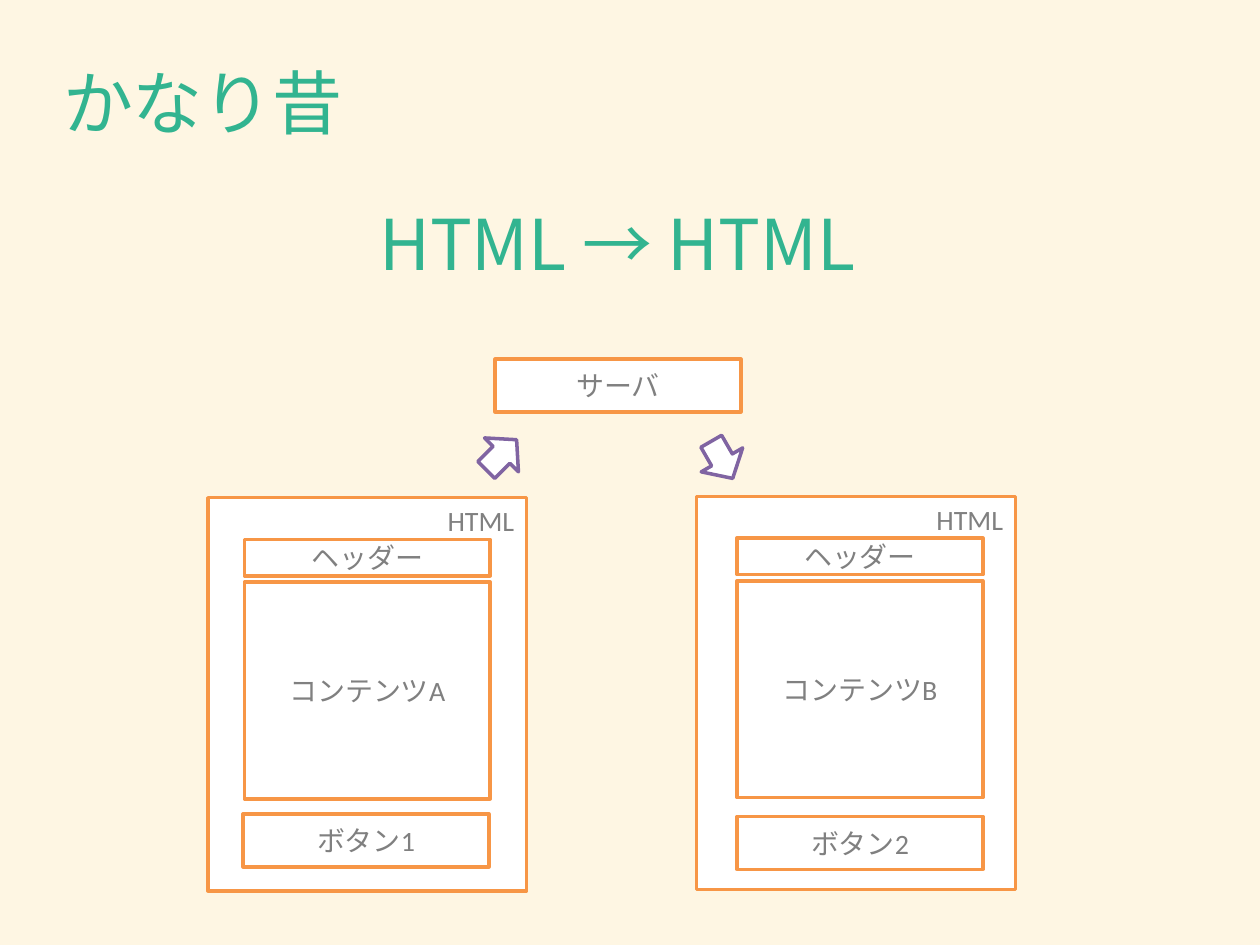
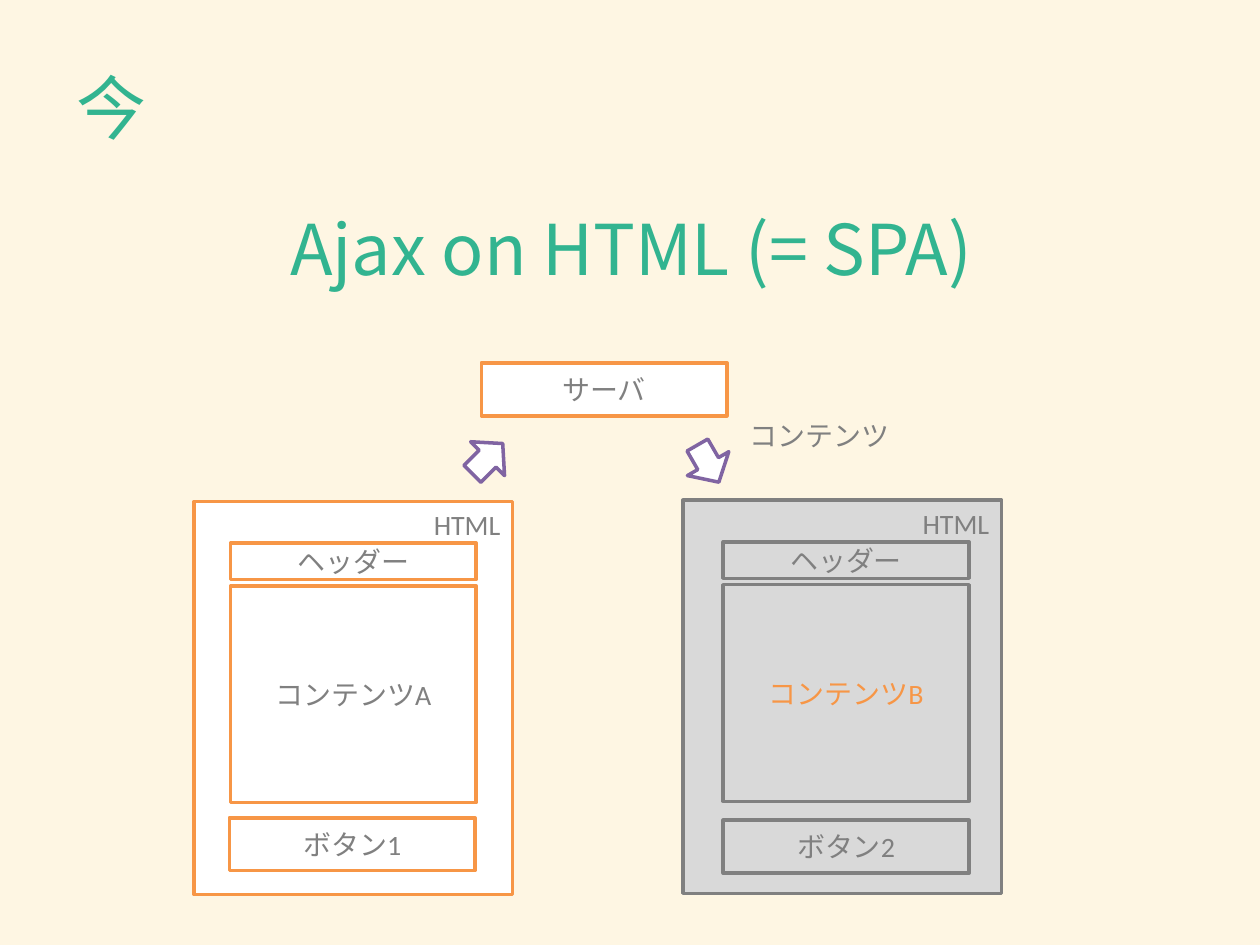
from lxml import etree
from pptx import Presentation
from pptx.dml.color import RGBColor
from pptx.enum.shapes import MSO_SHAPE
from pptx.enum.text import MSO_ANCHOR, MSO_AUTO_SIZE, PP_ALIGN
from pptx.oxml.ns import qn
from pptx.util import Inches, Pt

CREAM = RGBColor(0xFE, 0xF6, 0xE3)
GREEN = RGBColor(0x32, 0xB4, 0x90)
ORANGE = RGBColor(0xF7, 0x96, 0x46)
PURPLE = RGBColor(0x80, 0x64, 0xA2)
WHITE = RGBColor(0xFF, 0xFF, 0xFF)
GRAY = RGBColor(0x80, 0x80, 0x80)
LIGHT_GRAY = RGBColor(0xD9, 0xD9, 0xD9)

LATIN_FONT = "Calibri"
JAPANESE_FONT = "Noto Sans CJK JP"
BLOCK_WIDTH = 1.95
BLOCK_HEIGHT = 0.42
ACTIVE = (WHITE, ORANGE)
INACTIVE = (LIGHT_GRAY, GRAY)


class Sketch:
    """Draws on the current slide, with the diagram moved by (dx, dy)."""

    def __init__(self, deck):
        self.deck = deck
        self.slide = None
        self.dx = self.dy = 0

    def start_slide(self, dx=0, dy=0):
        self.slide = self.deck.slides.add_slide(self.deck.slide_layouts[5])
        self.slide.background.fill.solid()
        self.slide.background.fill.fore_color.rgb = CREAM
        self.dx, self.dy = dx, dy

    def fill_text(self, shape, text, size, font, color, align, anchor):
        frame = shape.text_frame
        frame.word_wrap = True
        frame.auto_size = MSO_AUTO_SIZE.NONE
        frame.vertical_anchor = anchor
        para = frame.paragraphs[0]
        para.alignment = align
        span = para.add_run()
        span.text = text
        span.font.size = Pt(size)
        span.font.name = font
        span.font.color.rgb = color
        east_asian = etree.Element(qn("a:ea"), typeface=JAPANESE_FONT)
        span.font._element.find(qn("a:latin")).addnext(east_asian)

    def heading(self, title_text, headline, left, top):
        title = self.slide.shapes.title
        title.left, title.top = Inches(left), Inches(top)
        title.width, title.height = Inches(9), Inches(0.9)
        self.fill_text(title, title_text, 40, JAPANESE_FONT, GREEN,
                       PP_ALIGN.LEFT, MSO_ANCHOR.TOP)
        box = self.slide.shapes.add_textbox(
            Inches(left), Inches(top + 1.12), Inches(9), Inches(0.9))
        self.fill_text(box, headline, 40, JAPANESE_FONT, GREEN,
                       PP_ALIGN.CENTER, MSO_ANCHOR.TOP)

    def shape(self, kind, left, top, width, height, fill, line):
        shape = self.slide.shapes.add_shape(
            kind, Inches(left + self.dx), Inches(top + self.dy),
            Inches(width), Inches(height))
        shape.shadow.inherit = False
        shape.fill.solid()
        shape.fill.fore_color.rgb = fill
        shape.line.color.rgb = line
        shape.line.width = Pt(2)
        return shape

    def block(self, text, left, top, height, style=ACTIVE, color=GRAY,
              width=BLOCK_WIDTH, align=PP_ALIGN.CENTER,
              anchor=MSO_ANCHOR.MIDDLE):
        block = self.shape(MSO_SHAPE.RECTANGLE, left, top, width, height, *style)
        self.fill_text(block, text, 16, LATIN_FONT, color, align, anchor)

    def arrow(self, left, top, rotation):
        arrow = self.shape(MSO_SHAPE.RIGHT_ARROW, left, top, 0.34, 0.38,
                           WHITE, PURPLE)
        arrow.rotation = rotation

    def label(self, text, left, top, width, height):
        box = self.slide.shapes.add_textbox(
            Inches(left), Inches(top), Inches(width), Inches(height))
        self.fill_text(box, text, 16, LATIN_FONT, GRAY,
                       PP_ALIGN.CENTER, MSO_ANCHOR.MIDDLE)

    def html_page(self, left, top, inner_left, content, button, button_left,
                  button_top, style=ACTIVE, content_color=GRAY):
        self.block("HTML", left, top, 3.12, style, width=2.53,
                   align=PP_ALIGN.RIGHT, anchor=MSO_ANCHOR.TOP)
        self.block("ヘッダー", inner_left, top + 0.33, 0.29, style)
        self.block(content, inner_left, top + 0.67, 1.72, style, content_color)
        self.block(button, button_left, button_top, BLOCK_HEIGHT, style)

    def page_flow(self, second_style=ACTIVE, second_content_color=GRAY):
        """Draw the first page, the server and the page that follows."""
        self.html_page(1.65, 3.95, 1.94, "コンテンツA", "ボタン1", 1.93, 6.46)
        self.html_page(5.53, 3.94, 5.85, "コンテンツB", "ボタン2", 5.85, 6.48,
                       second_style, second_content_color)
        self.block("サーバ", 3.93, 2.85, BLOCK_HEIGHT)
        self.arrow(3.81, 3.42, 315)
        self.arrow(5.56, 3.46, 60)


def main():
    deck = Presentation()
    deck.slide_width, deck.slide_height = Inches(10), Inches(7.5)
    sketch = Sketch(deck)

    sketch.start_slide()
    sketch.heading("かなり昔", "HTML → HTML", 0.4, 0.42)
    sketch.page_flow()

    sketch.start_slide(dx=-0.11, dy=0.03)
    sketch.heading("今", "Ajax on HTML (= SPA)", 0.51, 0.46)
    sketch.page_flow(INACTIVE, ORANGE)
    sketch.label("コンテンツ", 5.66, 3.31, 1.69, 0.29)

    deck.save("out.pptx")


if __name__ == "__main__":
    main()
